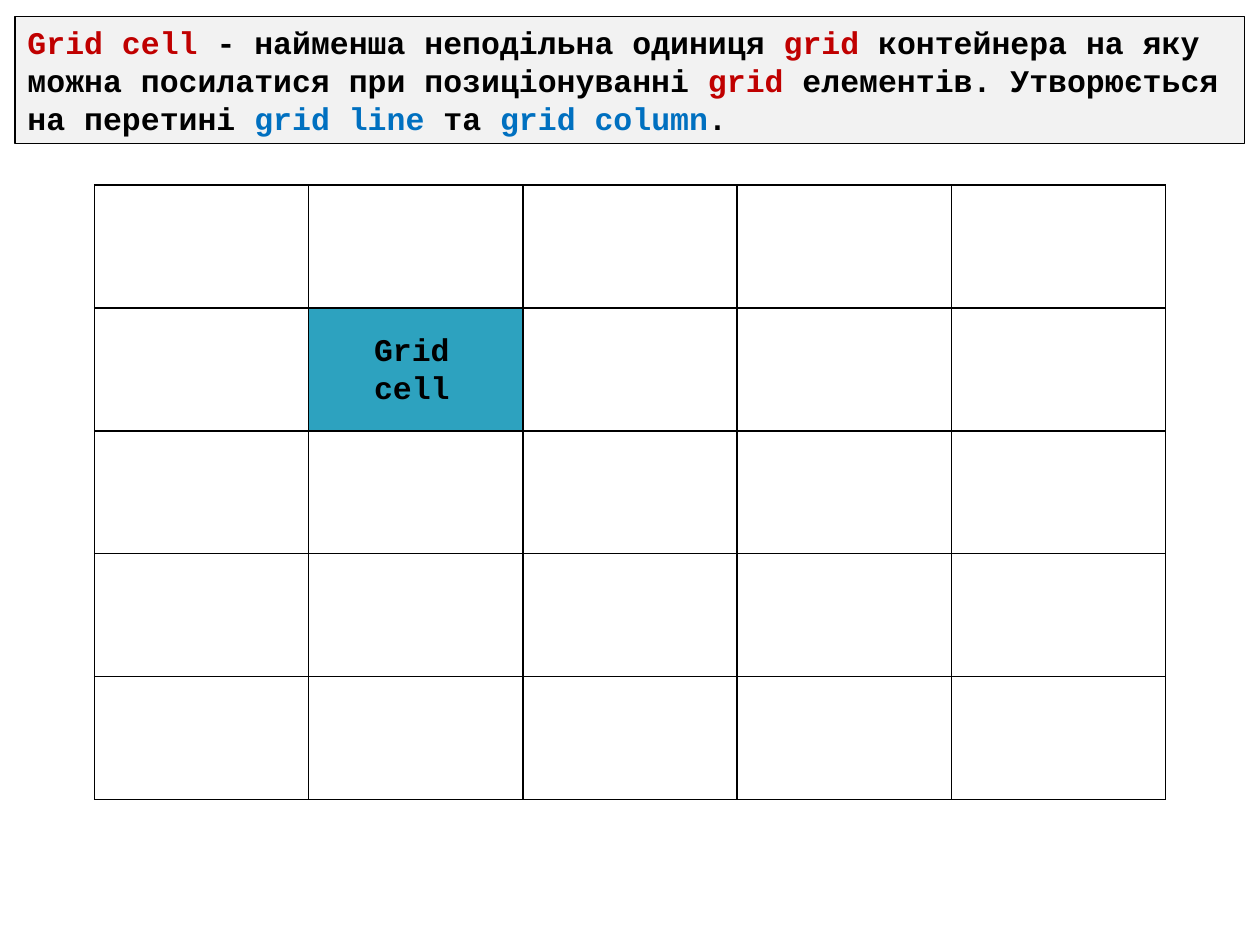
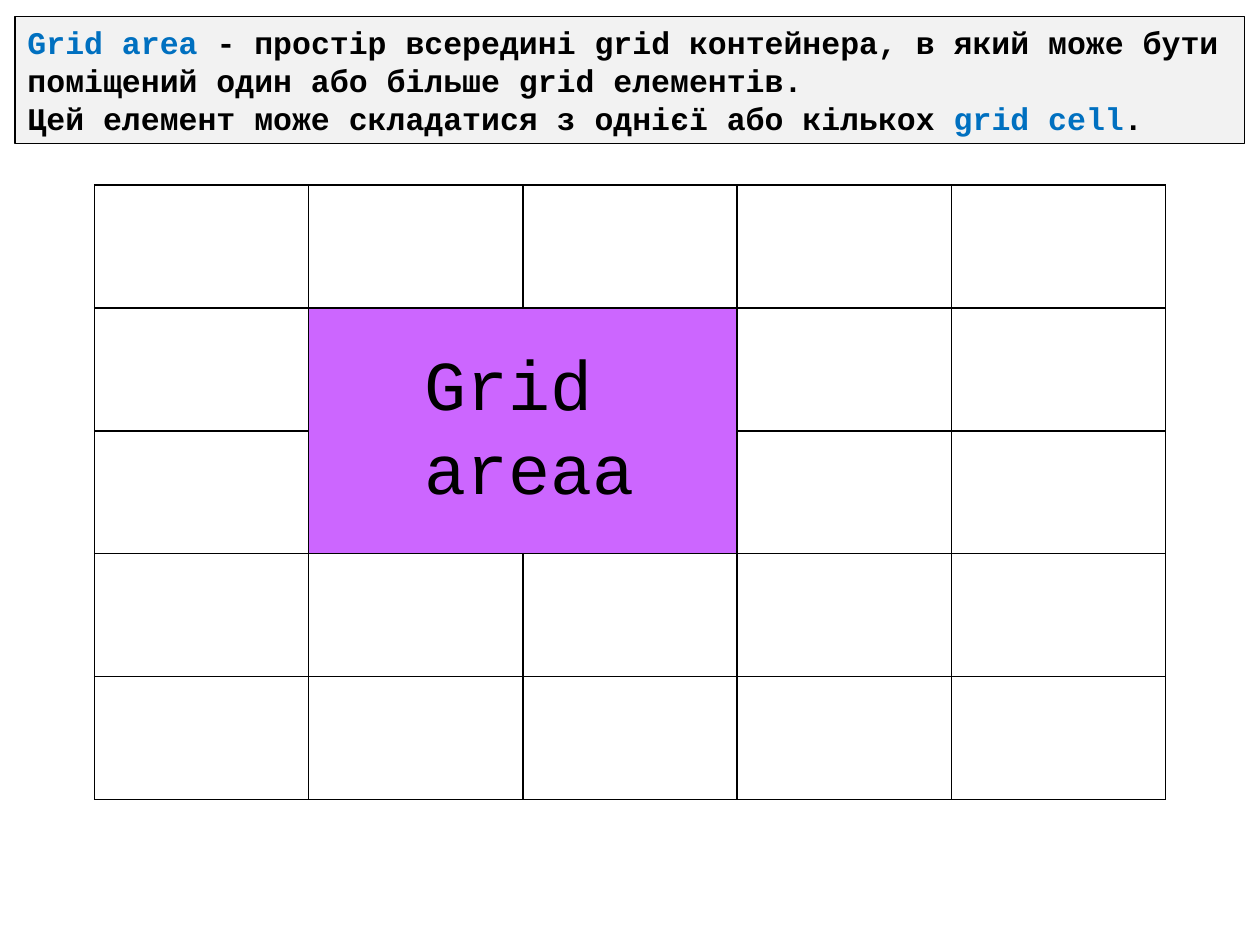
"""Builds two slides that explain a CSS grid cell and a grid area."""
from lxml import etree
from pptx import Presentation, util as u
from pptx.dml.color import RGBColor
from pptx.enum import shapes, text
from pptx.oxml.ns import qn

BLACK = RGBColor(0x00, 0x00, 0x00)
RED = RGBColor(0xC0, 0x00, 0x00)
BLUE = RGBColor(0x00, 0x70, 0xC0)
PALE = RGBColor(0xF2, 0xF2, 0xF2)
TEAL = RGBColor(0x2D, 0xA2, 0xBF)
PURPLE = RGBColor(0xCC, 0x66, 0xFF)
FONT = "Courier New"
NO_STYLE = "{2D5ABB26-0587-4C30-8999-92F81FD0307C}"

deck = Presentation()
deck.slide_width, deck.slide_height = u.Inches(10), u.Inches(7.5)
W, H = deck.slide_width, deck.slide_height
COUNT = 5
COLUMN, ROW = int(0.17 * W), int(0.13 * H)
GRID_LEFT, GRID_TOP = (W - COUNT * COLUMN) // 2, u.Inches(1.47)
MARGIN = u.Inches(0.12)


def write(frame, paragraphs, size=18, bold=True, wrap=True, anchor=text.MSO_ANCHOR.TOP):
    """Fill a frame with paragraphs, each a list of (wording, colour) runs."""
    frame.word_wrap, frame.vertical_anchor = wrap, anchor
    for index, runs in enumerate(paragraphs):
        paragraph = frame.add_paragraph() if index else frame.paragraphs[0]
        paragraph.alignment = text.PP_ALIGN.LEFT
        for wording, colour in runs:
            run = paragraph.add_run()
            run.text = wording
            run.font.name, run.font.size, run.font.bold = FONT, u.Pt(size), bold
            run.font.color.rgb = colour


def set_border(cell, side, visible):
    """Rule or clear one side (L, R, T or B) of a table cell."""
    width = u.Pt(1) if visible else 0
    border = etree.SubElement(cell._tc.get_or_add_tcPr(), qn(f"a:ln{side}"), w=str(width))
    fill = etree.SubElement(border, qn("a:solidFill" if visible else "a:noFill"))
    if visible:
        etree.SubElement(fill, qn("a:srgbClr"), val=str(BLACK))


cell_definition = [[
    ("Grid cell ", RED), ("- найменша неподільна одиниця ", BLACK), ("grid ", RED),
    ("контейнера на яку можна посилатися при позиціонуванні ", BLACK), ("grid ", RED),
    ("елементів. Утворюється на перетині ", BLACK), ("grid line ", BLUE),
    ("та ", BLACK), ("grid column", BLUE), (".", BLACK)]]
area_definition = [
    [("Grid area ", BLUE),
     ("- простір всередині grid контейнера, в який може бути поміщений один або більше "
      "grid елементів.", BLACK)],
    [("Цей елемент може складатися з однієї або кількох ", BLACK),
     ("grid cell", BLUE), (".", BLACK)]]

topics = [
    (cell_definition, {(1, 1)}, TEAL, [[("Grid", BLACK)], [("cell", BLACK)]],
     (2.87, 2.57, 0.81, 0.71), dict(wrap=False)),
    (area_definition, {(1, 1), (1, 2), (2, 1), (2, 2)}, PURPLE, [[("Grid areaa", BLACK)]],
     (3.27, 2.65, 2.83, 1.45), dict(size=40, bold=False)),
]

for definition, area, area_colour, label, label_place, label_format in topics:
    slide = deck.slides.add_slide(deck.slide_layouts[6])

    banner = slide.shapes.add_shape(shapes.MSO_SHAPE.RECTANGLE, MARGIN, u.Inches(0.13),
                                    W - 2 * MARGIN, u.Inches(1.01))
    banner.shadow.inherit = False
    banner.fill.solid()
    banner.fill.fore_color.rgb = PALE
    banner.line.color.rgb, banner.line.width = BLACK, u.Pt(0.75)
    write(banner.text_frame, definition, anchor=text.MSO_ANCHOR.MIDDLE)

    grid = slide.shapes.add_table(COUNT, COUNT, GRID_LEFT, GRID_TOP,
                                  COUNT * COLUMN, COUNT * ROW).table
    grid.first_row = grid.horz_banding = False
    grid._tbl.tblPr.find(qn("a:tableStyleId")).text = NO_STYLE
    for row in range(COUNT):
        for column in range(COUNT):
            cell = grid.cell(row, column)
            inside = (row, column) in area
            neighbours = {"L": (row, column - 1), "R": (row, column + 1),
                          "T": (row - 1, column), "B": (row + 1, column)}
            for side, neighbour in neighbours.items():
                set_border(cell, side, visible=not (inside and neighbour in area))
            if inside:
                cell.fill.solid()
                cell.fill.fore_color.rgb = area_colour
            else:
                cell.fill.background()

    caption = slide.shapes.add_textbox(*map(u.Inches, label_place))
    write(caption.text_frame, label, **label_format)

deck.save("out.pptx")
